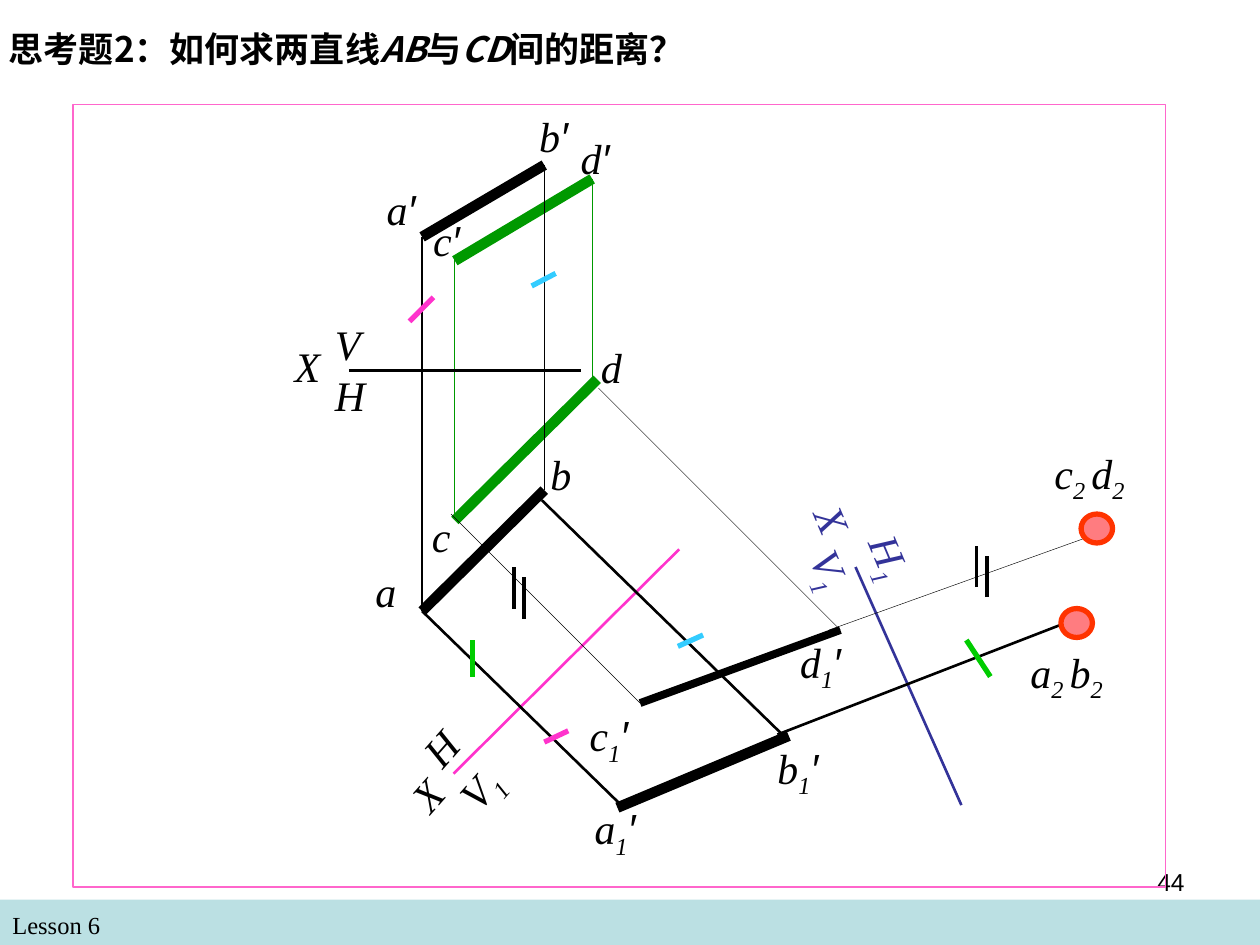
from itertools import groupby

from lxml.etree import SubElement
from pptx import Presentation
from pptx.dml.color import RGBColor
from pptx.enum.shapes import MSO_CONNECTOR, MSO_SHAPE
from pptx.enum.text import MSO_ANCHOR, PP_ALIGN
from pptx.oxml.ns import qn
from pptx.util import Inches, Pt

COLORS = {
    "black": "000000", "footer": "BBE0E3", "frame": "FF66CC",
    "green": "009900", "navy": "333399", "magenta": "FF33CC",
    "sky": "33CCFF", "lime": "00CC00", "dot": "FF7C80", "ring": "FF3300",
}
SERIF, SANS, CHINESE = "Times New Roman", "Arial", "Noto Sans CJK SC"

POINTS = {
    "a'": (3.35, 1.88), "b'": (4.32, 1.31), "c'": (3.61, 2.07), "d'": (4.7, 1.42),
    "a": (3.35, 4.85), "b": (4.32, 3.89), "c": (3.61, 4.13), "d": (4.74, 3.01),
    "a1'": (4.9, 6.41), "b1'": (6.26, 5.84), "c1'": (5.08, 5.58), "d1'": (6.67, 5),
}

# Segments of the drawing: start, end, colour, width in points
SEGMENTS = [
    ("c", "d", "green", 6),
    ("c'", "d'", "green", 6),
    ((3.61, 4.09), (3.61, 2.04), "green", 0.75),
    ("d'", (4.7, 3.01), "green", 0.75),
    ((6.79, 4.5), (7.63, 6.39), "navy", 1.5),
    ("a'", "a", "black", 1.5),
    ((2.77, 2.94), (4.61, 2.94), "black", 1.5),
    ("a'", "b'", "black", 6),
    ("a", "b", "black", 6),
    ("b", "b'", "black", 0.75),
    ((6.17, 5.83), (8.52, 4.92), "black", 1.5),
    ((3.6, 6.14), (5.39, 4.36), "magenta", 1.5),
    ("a", (4.93, 6.39), "black", 1.5),
    ((4.3, 3.97), (6.23, 5.85), "black", 1.5),
    ("b1'", "a1'", "black", 6),
    ((3.58, 4.08), "c1'", "black", 0.25),
    ((4.75, 3.08), "d1'", "black", 0.25),
    ("c1'", "d1'", "black", 4.5),
    ((6.58, 5), (8.67, 4.25), "black", 0.25),
]

# Marks of equal distances
TICKS = [
    ((4.51, 5.8), (4.32, 5.89), "magenta", 3),
    ((3.44, 2.36), (3.25, 2.55), "magenta", 3),
    ((4.22, 2.27), (4.41, 2.17), "sky", 3),
    ((5.38, 5.13), (5.58, 5.04), "sky", 3),
    ((3.75, 5.08), (3.75, 5.37), "lime", 3),
    ((7.67, 5.08), (7.86, 5.37), "lime", 3),
]
DOUBLE_TICKS = [(4.08, 4.5), (7.75, 4.33)]
DOTS = [(8.42, 4.83), (8.58, 4.08)]

# Labels: text, left, top, width, rotation, colour
LABELS = [
    ("a′", 2.97, 1.41, 0.81, 0, "black"),
    ("b′", 4.18, 0.83, 0.81, 0, "black"),
    ("c′", 3.34, 1.65, 0.94, 0, "black"),
    ("d′", 4.51, 1, 0.94, 0, "black"),
    ("a", 2.88, 4.44, 0.92, 0, "black"),
    ("b", 4.27, 3.51, 0.92, 0, "black"),
    ("c", 3.33, 4, 0.92, 0, "black"),
    ("d", 4.67, 2.66, 0.67, 0, "black"),
    ("a1′", 4.62, 6.32, 0.97, 359.4, "black"),
    ("b1′", 6.07, 5.84, 0.97, 359.4, "black"),
    ("c1′", 4.58, 5.58, 0.97, 359.4, "black"),
    ("d1′", 6.25, 5, 0.97, 359.4, "black"),
    ("a2 b2", 8.08, 5.08, 1.73, 0, "black"),
    ("c2 d2", 8.27, 3.5, 1.73, 0, "black"),
    ("X", 2.24, 2.65, 0.68, 0, "black"),
    ("V", 2.56, 2.48, 0.48, 0, "black"),
    ("H", 2.56, 2.88, 0.58, 0, "black"),
    ("X", 3.14, 5.96, 0.67, 311.3, "black"),
    ("H", 3.25, 5.63, 0.58, 311.3, "black"),
    ("V1", 3.5, 5.83, 0.93, 311.3, "black"),
    ("X", 6.33, 4, 0.67, 67.1, "navy"),
    ("H1", 6.71, 4.25, 0.76, 67.1, "navy"),
    ("V1", 6.21, 4.42, 0.87, 67.1, "navy"),
]


def rgb(name):
    return RGBColor.from_string(COLORS[name])


def add_run(paragraph, text, *, font=SERIF, size=24, color="black",
            bold=False, italic=False, subscript=False):
    run = paragraph.add_run()
    run.text = text
    run.font.name = font
    run.font.size = Pt(size)
    run.font.bold = bold
    run.font.italic = italic
    run.font.color.rgb = rgb(color)
    properties = run._r.get_or_add_rPr()
    SubElement(properties, qn("a:ea")).set("typeface", font)
    if subscript:
        properties.set("baseline", "-25000")


def add_text_box(slide, left, top, width, height):
    """Add a wrapping text box and return it with its first paragraph."""
    box = slide.shapes.add_textbox(*map(Inches, (left, top, width, height)))
    box.text_frame.word_wrap = True
    return box, box.text_frame.paragraphs[0]


def character_kind(character):
    if character in "12 ":
        return "subscript"
    return "prime" if character == "′" else "letter"


def add_label(slide, text, left, top, width, rotation, color):
    """Add a point or plane name, with its digits lowered."""
    height = 0.56 if any(character.isdigit() for character in text) else 0.5
    box, paragraph = add_text_box(slide, left, top, width, height)
    box.rotation = rotation
    for kind, characters in groupby(text, character_kind):
        add_run(paragraph, "".join(characters), color=color, italic=True,
                font=SANS if kind == "prime" else SERIF,
                subscript=kind == "subscript")


def add_line(slide, start, end, color, width):
    """Join two places, each a point name or a pair of inches."""
    ends = [*POINTS.get(start, start), *POINTS.get(end, end)]
    line = slide.shapes.add_connector(MSO_CONNECTOR.STRAIGHT, *map(Inches, ends))
    line.line.color.rgb = rgb(color)
    line.line.width = Pt(width)
    SubElement(line._element.spPr, qn("a:effectLst"))


def add_double_tick(slide, left, top):
    for offset in (0, 0.08):
        x, y = left + offset, top + offset
        add_line(slide, (x, y + 0.33), (x, y), "black", 2.25)


def add_area(slide, kind, place, *, fill=None, line=None, width=0.75):
    shape = slide.shapes.add_shape(kind, *map(Inches, place))
    shape.shadow.inherit = False
    if fill:
        shape.fill.solid()
        shape.fill.fore_color.rgb = rgb(fill)
    else:
        shape.fill.background()
    if line:
        shape.line.color.rgb = rgb(line)
        shape.line.width = Pt(width)
    else:
        shape.line.fill.background()


def add_title(slide):
    title = slide.shapes.title
    title.left, title.top, title.width, title.height = map(
        Inches, (-0.03, 0.17, 5.75, 0.44))
    frame = title.text_frame
    frame.word_wrap = True
    frame.vertical_anchor = MSO_ANCHOR.TOP
    paragraph = frame.paragraphs[0]
    paragraph.alignment = PP_ALIGN.LEFT
    for text in ("思考题2：如何求两直线", "AB", "与", "CD", "间的距离？"):
        add_run(paragraph, text, font=CHINESE, size=20, bold=True,
                italic=text.isascii())


def add_footer(slide):
    add_area(slide, MSO_SHAPE.RECTANGLE, (0, 7.14, 10, 0.36), fill="footer")
    _, lesson = add_text_box(slide, 0, 7.17, 4.83, 0.34)
    add_run(lesson, "Lesson 6", size=14)
    _, number = add_text_box(slide, 7.17, 6.83, 2.33, 0.52)
    number.alignment = PP_ALIGN.RIGHT
    add_run(number, "44", font=SANS, size=14)


def main():
    presentation = Presentation()
    presentation.slide_width, presentation.slide_height = Inches(10), Inches(7.5)
    slide = presentation.slides.add_slide(presentation.slide_layouts[5])
    add_title(slide)
    add_footer(slide)
    add_area(slide, MSO_SHAPE.RECTANGLE, (0.58, 0.83, 8.67, 6.21), line="frame")
    for segment in SEGMENTS + TICKS:
        add_line(slide, *segment)
    for corner in DOUBLE_TICKS:
        add_double_tick(slide, *corner)
    for corner in DOTS:
        add_area(slide, MSO_SHAPE.OVAL, (*corner, 0.25, 0.23),
                 fill="dot", line="ring", width=3)
    for label in LABELS:
        add_label(slide, *label)
    presentation.save("out.pptx")


if __name__ == "__main__":
    main()
